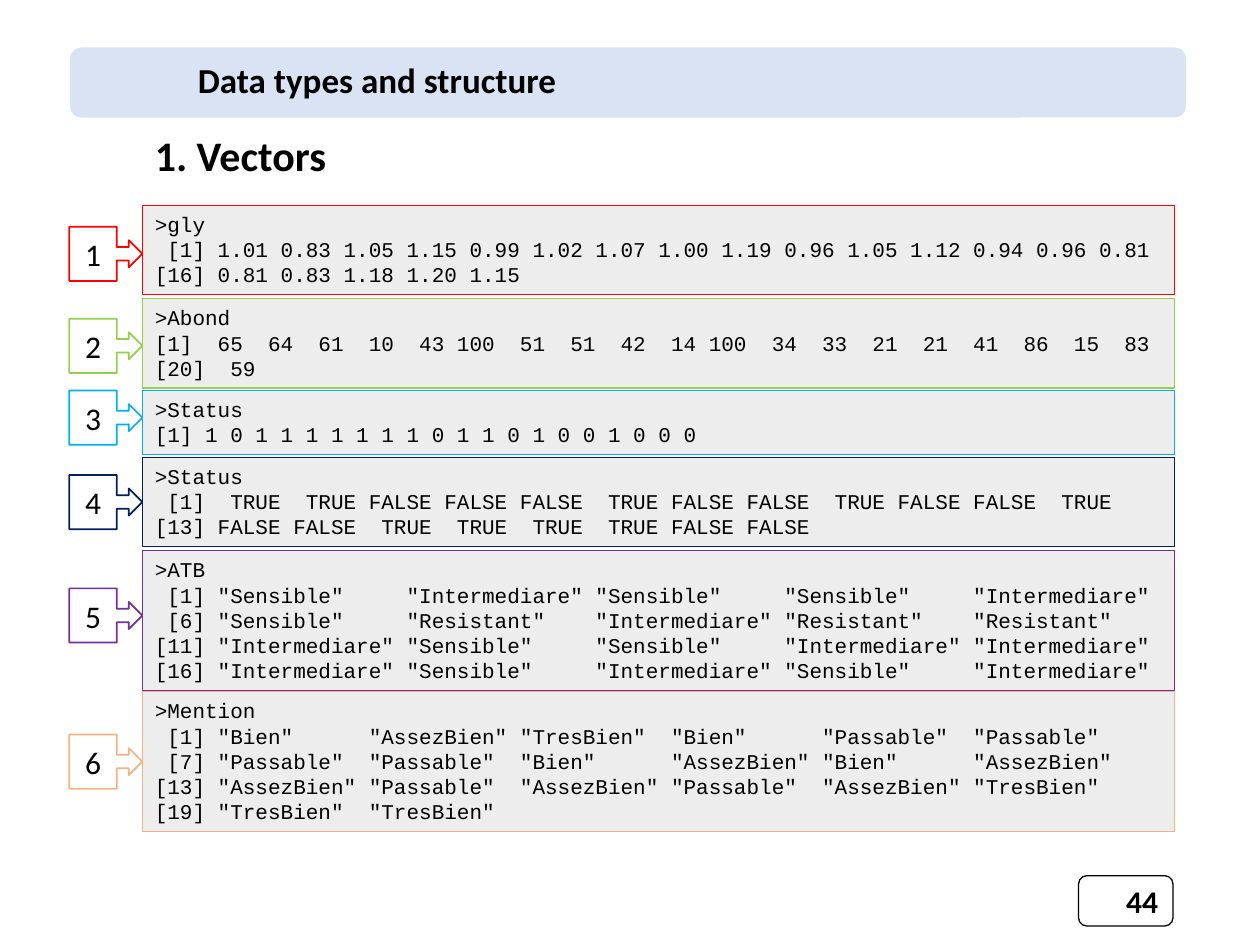
from typing import NamedTuple

from pptx import Presentation
from pptx.dml.color import RGBColor
from pptx.enum.shapes import MSO_SHAPE
from pptx.enum.text import MSO_ANCHOR, MSO_AUTO_SIZE, PP_ALIGN
from pptx.util import Inches, Pt


class Block(NamedTuple):
    """One console output with its numbered callout."""
    top: float
    tag: float
    color: str
    lines: list[str]


BLOCKS = [
    Block(1.63, 1.8, "FF0000", [
        ">gly",
        " [1] 1.01 0.83 1.05 1.15 0.99 1.02 1.07 1.00 1.19 0.96 1.05 1.12 0.94 0.96 0.81",
        "[16] 0.81 0.83 1.18 1.20 1.15",
    ]),
    Block(2.37, 2.53, "92D050", [
        ">Abond",
        "[1]  65  64  61  10  43 100  51  51  42  14 100  34  33  21  21  41  86  15  83",
        "[20]  59",
    ]),
    Block(3.1, 3.1, "00B0F0", [
        ">Status",
        "[1] 1 0 1 1 1 1 1 1 1 0 1 1 0 1 0 0 1 0 0 0",
    ]),
    Block(3.63, 3.77, "002060", [
        ">Status",
        " [1]  TRUE  TRUE FALSE FALSE FALSE  TRUE FALSE FALSE  TRUE FALSE FALSE  TRUE",
        "[13] FALSE FALSE  TRUE  TRUE  TRUE  TRUE FALSE FALSE",
    ]),
    Block(4.37, 4.67, "7030A0", [
        ">ATB",
        ' [1] "Sensible"     "Intermediare" "Sensible"     "Sensible"     "Intermediare"',
        ' [6] "Sensible"     "Resistant"    "Intermediare" "Resistant"    "Resistant"',
        '[11] "Intermediare" "Sensible"     "Sensible"     "Intermediare" "Intermediare"',
        '[16] "Intermediare" "Sensible"     "Intermediare" "Sensible"     "Intermediare"',
    ]),
    Block(5.49, 5.83, "F4B183", [
        ">Mention",
        ' [1] "Bien"      "AssezBien" "TresBien"  "Bien"      "Passable"  "Passable"',
        ' [7] "Passable"  "Passable"  "Bien"      "AssezBien" "Bien"      "AssezBien"',
        '[13] "AssezBien" "Passable"  "AssezBien" "Passable"  "AssezBien" "TresBien"',
        '[19] "TresBien"  "TresBien"',
    ]),
]


def rgb(code: str) -> RGBColor:
    """Turn a hex string into a colour."""
    return RGBColor.from_string(code)


def write(shape, lines: list[str], size: float, font: str = "Calibri",
          bold: bool = False, align=PP_ALIGN.LEFT) -> None:
    """Write each line as one paragraph with one run."""
    frame = shape.text_frame
    frame.word_wrap = True
    for row, line in enumerate(lines):
        para = frame.add_paragraph() if row else frame.paragraphs[0]
        para.alignment = align
        run = para.add_run()
        run.text = line
        run.font.name = font
        run.font.size = Pt(size)
        run.font.bold = bold
        run.font.color.rgb = rgb("000000")


def draw(slide, kind, box: tuple, line: str, width: float,
         fill: str | None = None):
    """Draw a preset shape with a plain outline and optional fill."""
    shape = slide.shapes.add_shape(kind, *map(Inches, box))
    shape.shadow.inherit = False
    if fill:
        shape.fill.solid()
        shape.fill.fore_color.rgb = rgb(fill)
    else:
        shape.fill.background()
    shape.line.color.rgb = rgb(line)
    shape.line.width = Pt(width)
    shape.text_frame.vertical_anchor = MSO_ANCHOR.MIDDLE
    return shape


def header(slide) -> None:
    """Draw the title band."""
    band = draw(slide, MSO_SHAPE.ROUNDED_RECTANGLE, (0.55, 0.37, 8.87, 0.57),
                "FFFFFF", 1, "DAE3F3")
    write(band, ["\t Data types and structure"], 20, bold=True)
    band.text_frame.margin_left = Inches(0.11)
    para = band.text_frame.paragraphs[0]
    para.line_spacing = 0.9
    para._p.get_or_add_pPr().set("defTabSz", str(Inches(0.82)))


def output(slide, block: Block) -> None:
    """Draw the grey box of console text."""
    high = 0.11 + 0.2 * len(block.lines)
    box = draw(slide, MSO_SHAPE.RECTANGLE, (1.13, block.top, 8.19, high),
               block.color, 0.75, "EDEDED")
    box.text_frame.vertical_anchor = MSO_ANCHOR.TOP
    box.text_frame.auto_size = MSO_AUTO_SIZE.SHAPE_TO_FIT_TEXT
    write(box, block.lines, 12, "Courier New")


def label(slide, num: int, block: Block) -> None:
    """Draw the numbered arrow callout."""
    tag = draw(slide, MSO_SHAPE.RIGHT_ARROW_CALLOUT,
               (0.55, block.tag, 0.58, 0.43), block.color, 1)
    write(tag, [str(num)], 18, align=PP_ALIGN.CENTER)


def main() -> None:
    """Build and save the slide."""
    deck = Presentation()
    deck.slide_width, deck.slide_height = Inches(10), Inches(7.5)
    slide = deck.slides.add_slide(deck.slide_layouts[6])
    header(slide)
    page = draw(slide, MSO_SHAPE.ROUNDED_RECTANGLE, (8.56, 6.95, 0.75, 0.4),
                "000000", 0.75)
    write(page, ["44"], 18, bold=True, align=PP_ALIGN.RIGHT)
    for block in BLOCKS:
        output(slide, block)
    for num, block in enumerate(BLOCKS, 1):
        label(slide, num, block)
    head = slide.shapes.add_textbox(*map(Inches, (1.13, 0.98, 3.05, 0.5)))
    head.text_frame.auto_size = MSO_AUTO_SIZE.SHAPE_TO_FIT_TEXT
    write(head, ["1. Vectors"], 24, bold=True)
    deck.save("out.pptx")


if __name__ == "__main__":
    main()
